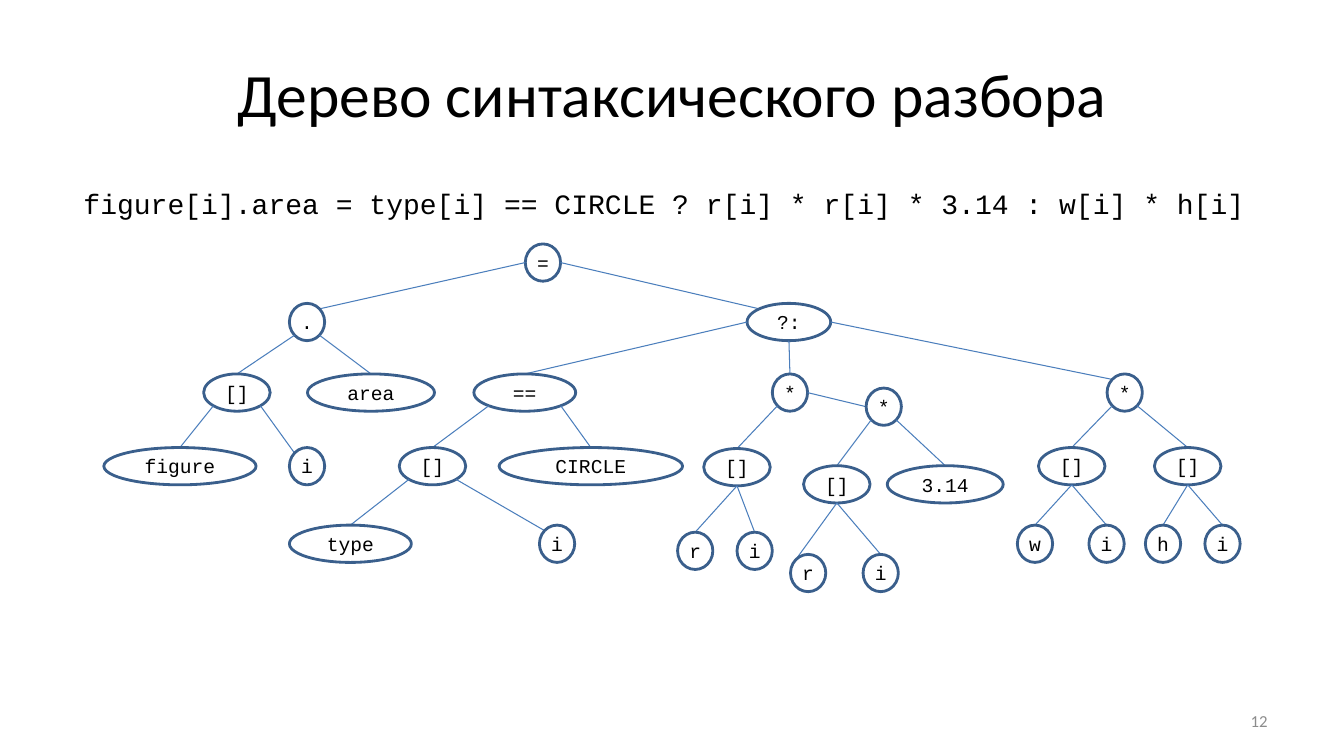
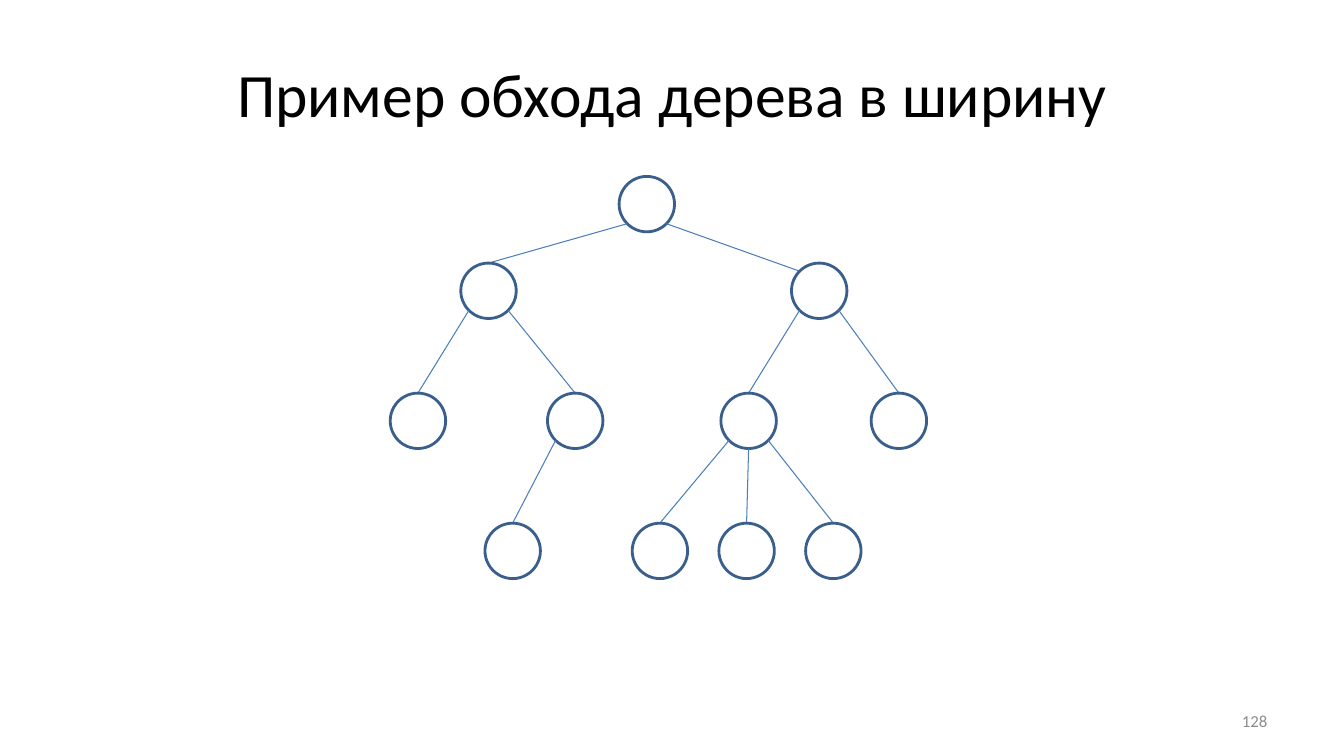
"""Build two slides that show a parse tree and a tree for breadth-first traversal."""
import math
from dataclasses import dataclass

from pptx import Presentation
from pptx import util as u
from pptx.dml.color import RGBColor
from pptx.enum import shapes, text
from pptx.oxml.ns import qn
from lxml import etree

PX = 9144
SLIDE_WIDTH, SLIDE_HEIGHT = 1333, 750
BLACK = RGBColor(0x00, 0x00, 0x00)
GREY = RGBColor(0x8C, 0x8C, 0x8C)
OUTLINE = RGBColor(0x3A, 0x5F, 0x8C)
EDGE = RGBColor(0x4B, 0x7E, 0xBC)
BODY_FONT, CODE_FONT = "Calibri", "Courier New"
DIAGONAL = math.sqrt(0.5)
SITES = {
    "top": (0, -1),
    "bottom": (0, 1),
    "left": (-1, 0),
    "right": (1, 0),
    "top_left": (-DIAGONAL, -DIAGONAL),
    "top_right": (DIAGONAL, -DIAGONAL),
    "bottom_left": (-DIAGONAL, DIAGONAL),
    "bottom_right": (DIAGONAL, DIAGONAL),
}


@dataclass
class Node:
    """Ellipse of a tree, with the sites where the edge leaves its parent and enters it."""
    left: int
    top: int
    width: int
    height: int
    label: str
    leaves: str
    enters: str
    children: tuple

    def site(self, name):
        """Return the point of a named connection site."""
        across, down = SITES[name]
        return (self.left + self.width * (1 + across) / 2,
                self.top + self.height * (1 + down) / 2)


def term(label, left, top, *children, width=35, leaves="bottom", enters="top"):
    """Return a labelled node of the parse tree."""
    return Node(left, top, width, 37, label, leaves, enters, children)


def index(left, top, *children, **edge):
    """Return a node for the subscript operator."""
    return term("[]", left, top, *children, width=66, **edge)


def circle(left, top, *children, leaves="bottom"):
    """Return an unlabelled round node."""
    return Node(left, top, 55, 55, "", leaves, "top", children)


def emu(*lengths):
    """Turn px lengths into EMU."""
    return [u.Emu(round(length * PX)) for length in lengths]


def write_text(shape, content, *, size, font=BODY_FONT, colour=BLACK, margin=10,
               align=text.PP_ALIGN.CENTER, anchor=text.MSO_ANCHOR.MIDDLE):
    """Write one formatted paragraph into a shape."""
    frame = shape.text_frame
    frame.word_wrap = True
    frame.vertical_anchor = anchor
    frame.margin_left, frame.margin_right = emu(margin, margin)
    frame.margin_top, frame.margin_bottom = emu(5, 5)
    paragraph = frame.paragraphs[0]
    paragraph.text = content
    paragraph.alignment = align
    paragraph.font.size = u.Pt(size)
    paragraph.font.name = font
    paragraph.font.color.rgb = colour


def add_text(slide, content, left, top, width, height, **text_format):
    """Add a text box with formatted text."""
    write_text(slide.shapes.add_textbox(*emu(left, top, width, height)),
               content, **text_format)


def add_edge(slide, start, end):
    """Add a thin line between two points."""
    connector = slide.shapes.add_connector(
        shapes.MSO_CONNECTOR.STRAIGHT, *emu(*start, *end))
    connector.line.color.rgb = EDGE
    connector.line.width = u.Pt(0.75)
    etree.SubElement(connector._element.spPr, qn("a:effectLst"))


def add_ellipse(slide, node):
    """Add the outlined ellipse of a node."""
    shape = slide.shapes.add_shape(
        shapes.MSO_SHAPE.OVAL, *emu(node.left, node.top, node.width, node.height))
    shape.shadow.inherit = False
    shape.fill.background()
    shape.line.color.rgb = OUTLINE
    shape.line.width = u.Pt(2)
    if node.label:
        write_text(shape, node.label, size=14, font=CODE_FONT, margin=0)


def add_tree(slide, node):
    """Add a node and, below it, its edges and subtrees."""
    add_ellipse(slide, node)
    for child in node.children:
        add_edge(slide, node.site(child.leaves), child.site(child.enters))
        add_tree(slide, child)


def add_slide(presentation, title, number):
    """Add a slide with its title and number."""
    slide = presentation.slides.add_slide(presentation.slide_layouts[6])
    add_text(slide, title, 67, 30, 1200, 125, size=44)
    add_text(slide, number, 956, 695, 311, 40, size=12, colour=GREY,
             align=text.PP_ALIGN.RIGHT)
    return slide


def parse_tree():
    """Return the parse tree of the assignment."""
    target = term(
        ".", 287, 301,
        index(202, 371,
              term("figure", 103, 444, width=151, leaves="bottom_left"),
              term("i", 287, 444, leaves="bottom_right", enters="top_left"),
              leaves="bottom_left"),
        term("area", 305, 371, width=126, leaves="bottom_right"),
        leaves="left", enters="top_right")
    condition = term(
        "==", 470, 371,
        index(396, 444,
              term("type", 287, 521, width=121, leaves="bottom_left"),
              term("i", 535, 521, leaves="bottom_right", enters="top_left"),
              leaves="bottom_left"),
        term("CIRCLE", 495, 444, width=182, leaves="bottom_right"),
        width=101, leaves="left")
    circle_area = term(
        "*", 766, 371,
        index(698, 445, term("r", 672, 528), term("i", 731, 528),
              leaves="bottom_left"),
        term("*", 859, 385,
             index(797, 462, term("r", 784, 550, enters="top_left"),
                   term("i", 856, 550), leaves="bottom_left"),
             term("3.14", 880, 462, width=115, leaves="bottom_right"),
             leaves="right", enters="left"))
    rectangle_area = term(
        "*", 1098, 371,
        index(1030, 444, term("w", 1009, 521), term("i", 1080, 521),
              leaves="bottom_left"),
        index(1145, 444, term("h", 1136, 521), term("i", 1195, 521),
              leaves="bottom_right"),
        leaves="right", enters="top_left")
    choice = term("?:", 741, 301, condition, circle_area, rectangle_area,
                  width=83, leaves="right", enters="top_left")
    return term("=", 521, 242, target, choice)


def traversal_tree():
    """Return the tree of round nodes."""
    second, third, fourth = 261, 390, 519
    left_branch = circle(
        457, second,
        circle(387, third, leaves="bottom_left"),
        circle(543, third, circle(481, fourth, leaves="bottom_left"),
               leaves="bottom_right"),
        leaves="bottom_left")
    leaf_sites = ("bottom_left", "bottom", "bottom_right")
    leaves = [circle(627 + 86 * place, fourth, leaves=site)
              for place, site in enumerate(leaf_sites)]
    right_branch = circle(
        785, second,
        circle(715, third, *leaves, leaves="bottom_left"),
        circle(864, third, leaves="bottom_right"),
        leaves="bottom_right")
    right_branch.enters = "top_left"
    return circle(614, 175, left_branch, right_branch)


def main():
    """Build and save the presentation."""
    presentation = Presentation()
    presentation.slide_width, presentation.slide_height = emu(SLIDE_WIDTH, SLIDE_HEIGHT)

    slide = add_slide(presentation, "Дерево синтаксического разбора", "12")
    add_text(slide, "figure[i].area = type[i] == CIRCLE ? r[i] * r[i] * 3.14 : w[i] * h[i]",
             73, 180, 1194, 45, size=20, font=CODE_FONT,
             align=text.PP_ALIGN.LEFT, anchor=text.MSO_ANCHOR.TOP)
    add_tree(slide, parse_tree())

    slide = add_slide(presentation, "Пример обхода дерева в ширину", "128")
    add_tree(slide, traversal_tree())

    presentation.save("out.pptx")


if __name__ == "__main__":
    main()
